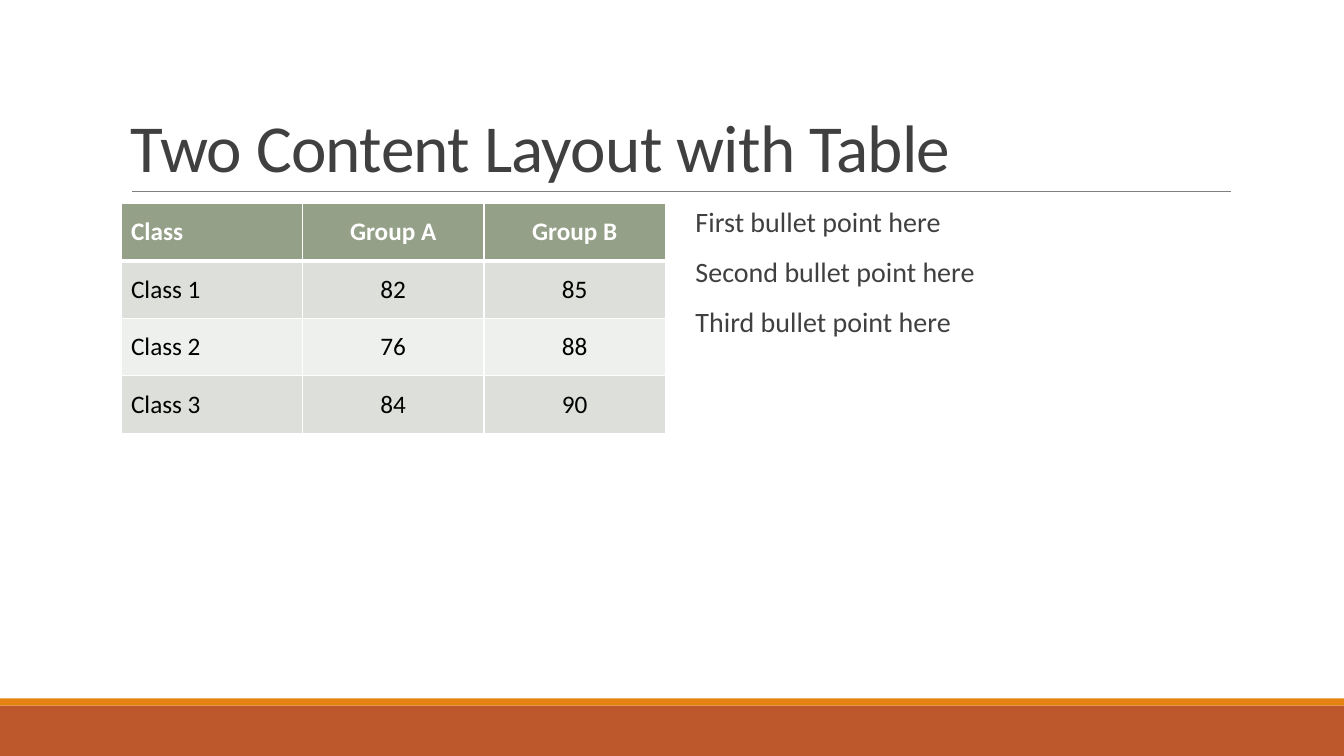
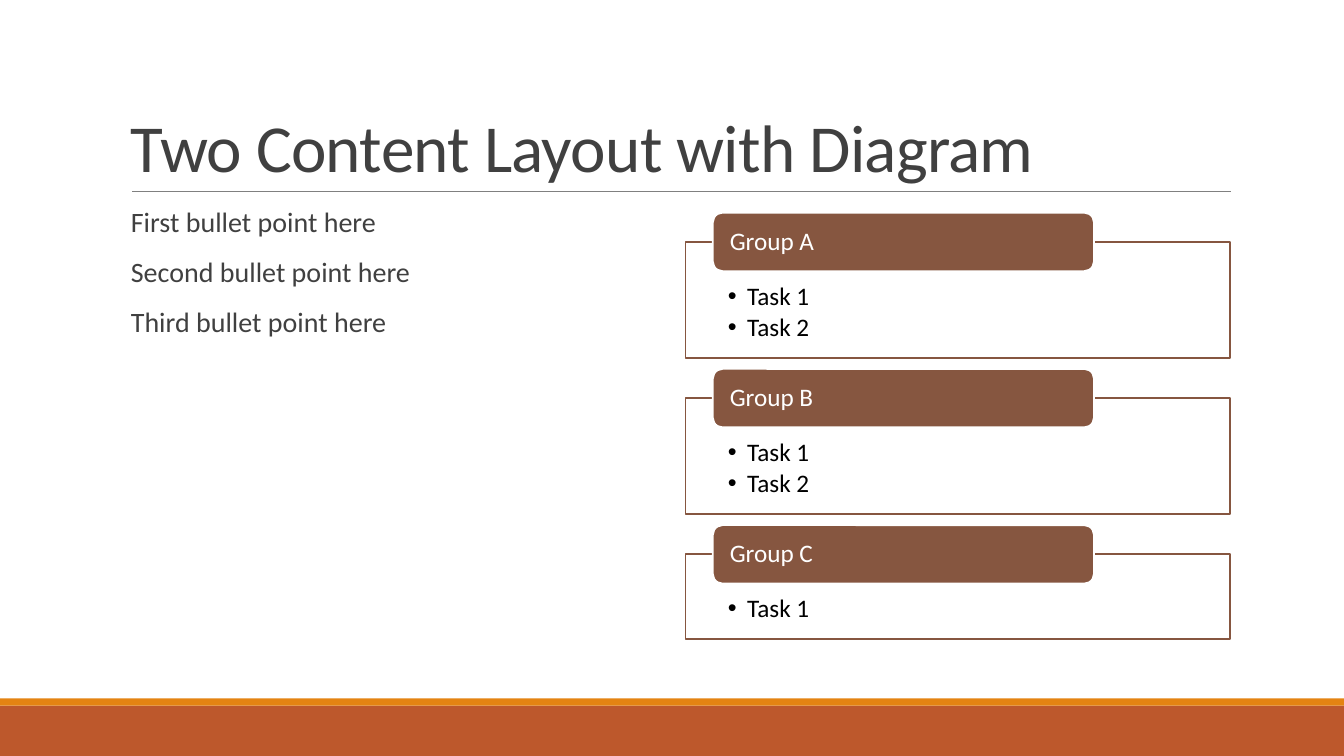
from dataclasses import dataclass

from lxml import etree
from pptx import Presentation
from pptx.dml.color import RGBColor
from pptx.enum.shapes import MSO_CONNECTOR, MSO_SHAPE
from pptx.enum.text import MSO_ANCHOR, PP_ALIGN
from pptx.oxml.ns import qn
from pptx.util import Inches, Pt

RECT = MSO_SHAPE.RECTANGLE
ROUND_RECT = MSO_SHAPE.ROUNDED_RECTANGLE
STRAIGHT = MSO_CONNECTOR.STRAIGHT
TOP, MIDDLE, BOTTOM = MSO_ANCHOR.TOP, MSO_ANCHOR.MIDDLE, MSO_ANCHOR.BOTTOM
LEFT, CENTER = PP_ALIGN.LEFT, PP_ALIGN.CENTER


@dataclass(frozen=True)
class Theme:
    font: str = "Calibri"
    title_size: float = 48
    body_size: float = 20
    label_size: float = 18
    ink: str = "404040"
    black: str = "000000"
    white: str = "FFFFFF"
    rule: str = "808080"
    band: str = "BD582C"
    stripe: str = "E48312"
    header: str = "94A088"
    row_odd: str = "DCDFDA"
    row_even: str = "EEF0ED"
    group: str = "865640"


THEME = Theme()
WIDTH, HEIGHT = 13.33, 7.5
LEFT_COLUMN, RIGHT_COLUMN = 1.2, 6.8
COLUMN_TOP, COLUMN_WIDTH, COLUMN_HEIGHT = 2.02, 5.4, 4.4
POINTS = ["First bullet point here", "Second bullet point here", "Third bullet point here"]
SCORES = [
    ["Class", "Group A", "Group B"],
    ["Class 1", "82", "85"],
    ["Class 2", "76", "88"],
    ["Class 3", "84", "90"],
]
GROUPS = [
    ("Group A", ["Task 1", "Task 2"], 1.15),
    ("Group B", ["Task 1", "Task 2"], 1.15),
    ("Group C", ["Task 1"], 0.84),
]


def rgb(color):
    return RGBColor.from_string(color)


def set_bullet(p, indent):
    pPr = p._p.get_or_add_pPr()
    pPr.set("marL", str(Inches(indent)))
    pPr.set("indent", str(-Inches(indent)))
    etree.SubElement(pPr, qn("a:buFont"), typeface="Arial")
    etree.SubElement(pPr, qn("a:buChar"), char="•")


def write_text(tf, lines, size=THEME.label_size, color=THEME.black, bold=False, align=LEFT,
               spacing=0.9, before=0, after=0, bullet=0, tracking=0):
    for i, line in enumerate(lines):
        p = tf.add_paragraph() if i else tf.paragraphs[0]
        p.alignment = align
        p.line_spacing = spacing
        p.space_before = Pt(before if i else 0)
        p.space_after = Pt(after)
        if bullet:
            set_bullet(p, bullet)
        r = p.add_run()
        r.text = line
        r.font.name = THEME.font
        r.font.size = Pt(size)
        r.font.bold = bold
        r.font.color.rgb = rgb(color)
        if tracking:
            r._r.get_or_add_rPr().set("spc", str(int(tracking * 100)))


def set_frame(tf, insets, anchor=TOP):
    tf.word_wrap = True
    tf.vertical_anchor = anchor
    tf.margin_left, tf.margin_top, tf.margin_right, tf.margin_bottom = map(Inches, insets)


def add_text(s, box, lines, insets, anchor=TOP, **fmt):
    sp = s.shapes.add_textbox(*map(Inches, box))
    set_frame(sp.text_frame, insets, anchor)
    write_text(sp.text_frame, lines, **fmt)


def add_box(s, kind, box, fill, line=None):
    sp = s.shapes.add_shape(kind, *map(Inches, box))
    sp.shadow.inherit = False
    sp.fill.solid()
    sp.fill.fore_color.rgb = rgb(fill)
    if line:
        sp.line.color.rgb = rgb(line)
        sp.line.width = Pt(1.25)
    else:
        sp.line.fill.background()
    return sp


def add_rule(s, x1, x2, y):
    cxn = s.shapes.add_connector(STRAIGHT, Inches(x1), Inches(y), Inches(x2), Inches(y))
    cxn.line.color.rgb = rgb(THEME.rule)
    cxn.line.width = Pt(0.5)
    etree.SubElement(cxn._element.spPr, qn("a:effectLst"))


def add_base_slide(prs, title):
    s = prs.slides.add_slide(prs.slide_layouts[6])
    add_box(s, RECT, (0, 7, WIDTH, 0.5), THEME.band)
    add_box(s, RECT, (0, 6.93, WIDTH, 0.07), THEME.stripe)
    add_rule(s, 1.31, 12.21, 1.9)
    add_text(s, (1.2, 0.31, 11, 1.59), [title], (0.1, 0.05, 0.1, 0.05), BOTTOM,
             size=THEME.title_size, color=THEME.ink, spacing=0.85, tracking=-0.5)
    return s


def add_points(s, left):
    add_text(s, (left, COLUMN_TOP, COLUMN_WIDTH, COLUMN_HEIGHT), POINTS, (0.1, 0.05, 0, 0.05),
             size=THEME.body_size, color=THEME.ink, before=12, after=2)


def set_borders(cell, top, bottom):
    tcPr = cell._tc.get_or_add_tcPr()
    for side, width in (("L", 1), ("R", 1), ("T", top), ("B", bottom)):
        ln = etree.SubElement(tcPr, qn(f"a:ln{side}"), w=str(Pt(width)))
        fill = etree.SubElement(ln, qn("a:solidFill"))
        etree.SubElement(fill, qn("a:srgbClr"), val=THEME.white)


def add_score_table(s, left, rows):
    row_height = 0.57
    box = (left, COLUMN_TOP, COLUMN_WIDTH, row_height * len(rows))
    table = s.shapes.add_table(len(rows), len(rows[0]), *map(Inches, box)).table
    table.first_row = table.horz_banding = False
    for i, row in enumerate(rows):
        is_header = i == 0
        fill = THEME.header if is_header else THEME.row_odd if i % 2 else THEME.row_even
        for j, value in enumerate(row):
            cell = table.cell(i, j)
            set_borders(cell, top=3 if i == 1 else 1, bottom=3 if is_header else 1)
            cell.fill.solid()
            cell.fill.fore_color.rgb = rgb(fill)
            cell.vertical_anchor = MIDDLE
            write_text(cell.text_frame, [value], bold=is_header, spacing=1.0,
                       color=THEME.white if is_header else THEME.black,
                       align=CENTER if j else LEFT)


def add_task_group(s, left, top, height, name, tasks):
    frame = add_box(s, RECT, (left, top, COLUMN_WIDTH, height), THEME.white, THEME.group)
    set_frame(frame.text_frame, (0.42, 0.41, 0.42, 0.14))
    write_text(frame.text_frame, tasks, after=2.7, bullet=0.19)
    tab = add_box(s, ROUND_RECT, (left + 0.27, top - 0.29, 3.78, 0.58), THEME.group, THEME.white)
    set_frame(tab.text_frame, (0.14, 0, 0.14, 0), MIDDLE)
    write_text(tab.text_frame, [name], color=THEME.white)


def build_table_slide(prs):
    s = add_base_slide(prs, "Two Content Layout with Table")
    add_score_table(s, LEFT_COLUMN, SCORES)
    add_points(s, RIGHT_COLUMN)


def build_groups_slide(prs):
    s = add_base_slide(prs, "Two Content Layout with Diagram")
    add_points(s, LEFT_COLUMN)
    top, gap = 2.4, 0.4
    for name, tasks, height in GROUPS:
        add_task_group(s, RIGHT_COLUMN, top, height, name, tasks)
        top += height + gap


def main():
    prs = Presentation()
    prs.slide_width, prs.slide_height = Inches(WIDTH), Inches(HEIGHT)
    build_table_slide(prs)
    build_groups_slide(prs)
    prs.save("out.pptx")


if __name__ == "__main__":
    main()
